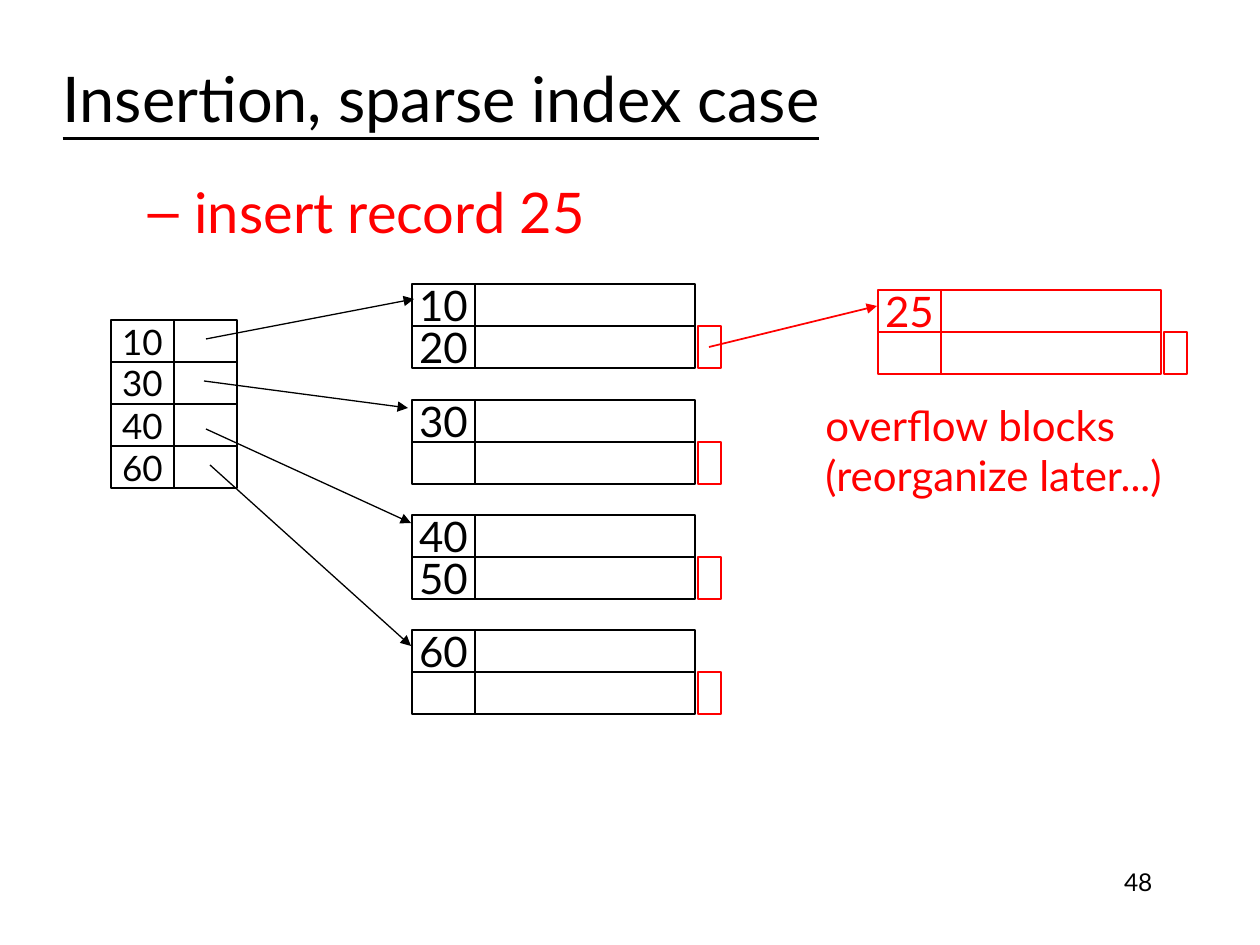
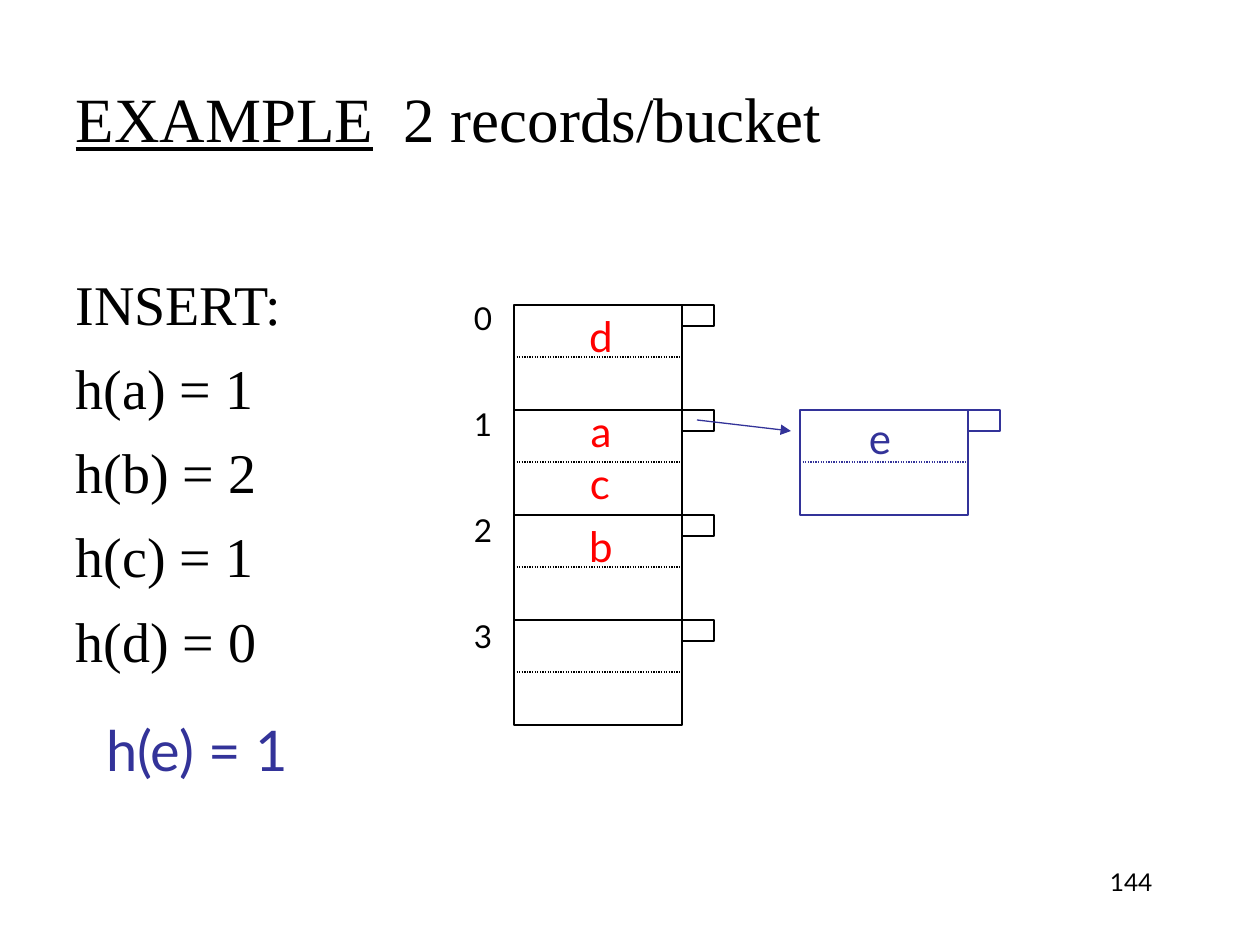
"""Build two slides on index insertion and hash buckets."""
from dataclasses import dataclass

from lxml import etree
from pptx import Presentation
from pptx.dml.color import RGBColor
from pptx.enum.dml import MSO_LINE
from pptx.enum.shapes import MSO_CONNECTOR, MSO_SHAPE
from pptx.enum.text import MSO_ANCHOR, MSO_AUTO_SIZE, PP_ALIGN
from pptx.oxml.ns import qn
from pptx.util import Pt

SCALE = 914400 / 126
BLACK, WHITE, RED, BLUE = "000000", "FFFFFF", "FF0000", "333399"
SANS, SERIF = "Lato", "Times New Roman"
LEFT, MID, RIGHT = PP_ALIGN.LEFT, PP_ALIGN.CENTER, PP_ALIGN.RIGHT
TOP, CENTER = MSO_ANCHOR.TOP, MSO_ANCHOR.MIDDLE
RECT, LINE, DOTS = MSO_SHAPE.RECTANGLE, MSO_CONNECTOR.STRAIGHT, MSO_LINE.ROUND_DOT
FIXED = MSO_AUTO_SIZE.NONE
ROW, KEY, DATA = 42, 63, 220
SLOT, WIDE = 105, 168


@dataclass
class Box:
    """Place of an element in px."""
    x: int
    y: int
    w: int
    h: int


@dataclass
class Style:
    """Look of a text."""
    size: int
    color: str = BLACK
    font: str = SANS
    align: PP_ALIGN = LEFT
    anchor: MSO_ANCHOR = CENTER


@dataclass
class Arrow:
    """A line from one point to another."""
    x1: int
    y1: int
    x2: int
    y2: int
    color: str = BLACK
    width: float = 0.75


def emu(px: int) -> int:
    """Turn px into EMU."""
    return round(px * SCALE)


def rgb(color: str) -> RGBColor:
    """Turn a hex string into a colour."""
    return RGBColor.from_string(color)


def place(box: Box) -> list[int]:
    """Give the box in EMU."""
    return [emu(v) for v in (box.x, box.y, box.w, box.h)]


def dress(shape, style: Style, wrap: bool = True) -> None:
    """Format the text of a shape."""
    frame = shape.text_frame
    frame.auto_size = FIXED
    frame.word_wrap = wrap
    frame.vertical_anchor = style.anchor
    for para in frame.paragraphs:
        para.alignment = style.align
        for run in para.runs:
            run.font.size = Pt(style.size)
            run.font.name = style.font
            run.font.color.rgb = rgb(style.color)


def label(slide, text: str, box: Box, style: Style) -> None:
    """Add a text box."""
    shape = slide.shapes.add_textbox(*place(box))
    shape.text_frame.text = text
    dress(shape, style)


def move(shape, box: Box) -> None:
    """Move a placeholder to a box."""
    shape.left, shape.top, shape.width, shape.height = place(box)


def cell(slide, box: Box, color: str = BLACK, text: str = "",
         size: int = 24, width: float = 0.75) -> None:
    """Draw a framed white cell."""
    shape = slide.shapes.add_shape(RECT, *place(box))
    shape.shadow.inherit = False
    shape.fill.solid()
    shape.fill.fore_color.rgb = rgb(WHITE)
    shape.line.color.rgb = rgb(color)
    shape.line.width = Pt(width)
    if text:
        shape.text_frame.text = text
        dress(shape, Style(size, color, align=MID), wrap=False)


def link(slide, arrow: Arrow, dots: bool = False) -> None:
    """Draw an arrow, or a dotted line without a head."""
    ends = [emu(v) for v in (arrow.x1, arrow.y1, arrow.x2, arrow.y2)]
    shape = slide.shapes.add_connector(LINE, *ends)
    shape.line.color.rgb = rgb(arrow.color)
    shape.line.width = Pt(arrow.width)
    if dots:
        shape.line.dash_style = DOTS
    else:
        etree.SubElement(shape.line._get_or_add_ln(), qn("a:tailEnd"), type="triangle")
    etree.SubElement(shape._element.spPr, qn("a:effectLst"))


def rows(slide, x: int, y: int, keys: list[str], data: int,
         size: int, color: str = BLACK) -> None:
    """Draw rows of a key and a data cell."""
    for i, key in enumerate(keys):
        top = y + i * ROW
        cell(slide, Box(x, top, KEY, ROW), color, key, size)
        cell(slide, Box(x + KEY, top, data, ROW), color)


def block(slide, x: int, y: int, keys: list[str], color: str = BLACK) -> None:
    """Draw a data block with its overflow tag."""
    rows(slide, x, y, keys, DATA, 24, color)
    cell(slide, Box(x + KEY + DATA + 3, y + ROW, 23, ROW), RED, width=1.5)


def bucket(slide, x: int, y: int, color: str = BLACK) -> None:
    """Draw a bucket of two records with its link cell."""
    cell(slide, Box(x, y, WIDE, SLOT), color)
    cell(slide, Box(x + WIDE, y, 32, 21), color)
    half = y + SLOT // 2
    link(slide, Arrow(x, half, x + WIDE, half, color), dots=True)


def start(prs, number: str, head: Box, body: Box):
    """Add a slide with its number and placed placeholders."""
    slide = prs.slides.add_slide(prs.slide_layouts[1])
    move(slide.shapes.title, head)
    move(slide.placeholders[1], body)
    label(slide, number, Box(903, 861, 262, 63), Style(14, align=RIGHT, anchor=TOP))
    return slide


def sparse(prs) -> None:
    """Build the sparse index slide."""
    slide = start(prs, "48", Box(50, 39, 1071, 116), Box(135, 171, 520, 81))
    title, body = slide.shapes.title, slide.placeholders[1]
    title.text_frame.text = "Insertion, sparse index case"
    dress(title, Style(36))
    title.text_frame.paragraphs[0].runs[0].font.underline = True

    body.text_frame.text = "insert record 25"
    para = body.text_frame.paragraphs[0]
    props = para._p.get_or_add_pPr()
    props.set("marL", str(emu(47)))
    props.set("indent", str(-emu(47)))
    tint = etree.SubElement(props, qn("a:buClr"))
    etree.SubElement(tint, qn("a:srgbClr"), val=RED)
    etree.SubElement(props, qn("a:buChar"), char="–")
    para.space_before = Pt(0)
    dress(body, Style(32, RED))

    pairs = [["10", "20"], ["30", ""], ["40", "50"], ["60", ""]]
    for i, keys in enumerate(pairs):
        block(slide, 412, 284 + round(i * 115.5), keys)
    rows(slide, 111, 320, ["10", "30", "40", "60"], KEY, 20)
    block(slide, 878, 290, ["25", ""], RED)
    for arrow in (Arrow(206, 339, 414, 299), Arrow(204, 381, 408, 408),
                  Arrow(206, 429, 411, 523), Arrow(210, 465, 411, 646),
                  Arrow(709, 347, 877, 306, RED, 1)):
        link(slide, arrow)
    label(slide, "overflow blocks\n(reorganize later...)",
          Box(813, 393, 398, 113), Style(24, RED))


def hashing(prs) -> None:
    """Build the bucket slide."""
    slide = start(prs, "144", Box(63, 38, 1134, 158), Box(63, 263, 267, 438))
    title, body = slide.shapes.title, slide.placeholders[1]
    para = title.text_frame.paragraphs[0]
    tabs = etree.SubElement(para._p.get_or_add_pPr(), qn("a:tabLst"))
    etree.SubElement(tabs, qn("a:tab"), pos=str(emu(328)), algn="l")
    for text, under in (("EXAMPLE", True), ("\t2 records/bucket", False)):
        run = para.add_run()
        run.text = text
        run.font.underline = under
    dress(title, Style(36, font=SERIF))

    body.text_frame.text = "INSERT:\nh(a) = 1\nh(b) = 2\nh(c) = 1\nh(d) = 0"
    for i, para in enumerate(body.text_frame.paragraphs):
        props = para._p.get_or_add_pPr()
        props.set("marL", "0")
        props.set("indent", "0")
        etree.SubElement(props, qn("a:buNone"))
        para.space_before = Pt(9.7 if i else 0)
    dress(body, Style(32, font=SERIF, anchor=TOP))
    label(slide, "h(e) = 1", Box(94, 709, 237, 87), Style(32, BLUE, anchor=TOP))

    for i in range(4):
        bucket(slide, 514, 305 + i * SLOT)
        label(slide, str(i), Box(453, 293 + i * 106, 60, 50), Style(18, align=MID))
    bucket(slide, 800, 410, BLUE)
    link(slide, Arrow(697, 420, 791, 431, BLUE))
    for text, x, y, color in (("d", 601, 336, RED), ("a", 601, 431, RED),
                              ("c", 600, 483, RED), ("b", 601, 546, RED),
                              ("e", 880, 438, BLUE)):
        label(slide, text, Box(x - 30, y - 32, 60, 64), Style(24, color, align=MID))


def main() -> None:
    """Build and save the deck."""
    prs = Presentation()
    prs.slide_width, prs.slide_height = emu(1260), emu(945)
    sparse(prs)
    hashing(prs)
    prs.save("out.pptx")


if __name__ == "__main__":
    main()
